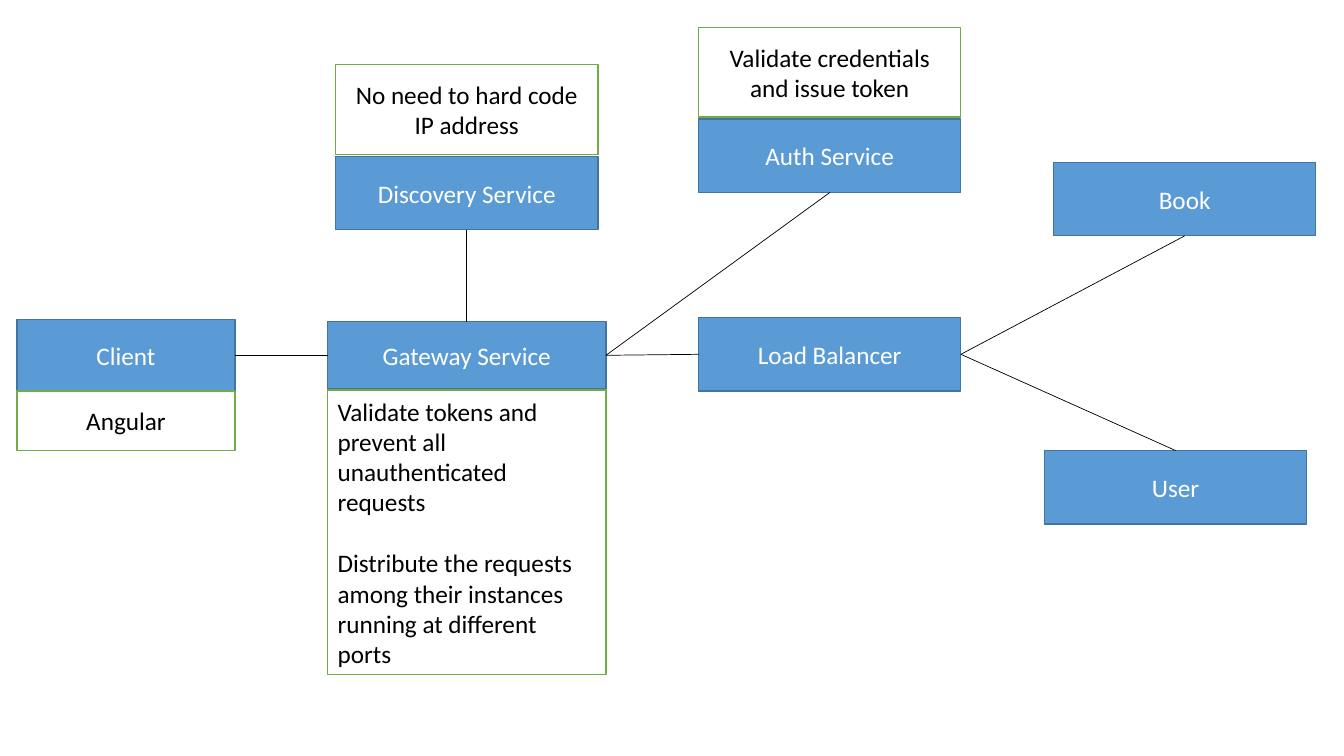
"""Build a service architecture diagram slide."""
from dataclasses import dataclass

import lxml.etree
import pptx
import pptx.dml.color
import pptx.enum.shapes
import pptx.enum.text
import pptx.oxml.ns
import pptx.util
from pptx.util import Inches

COLORS = {
    "service": "5B9BD5",
    "service_line": "43739E",
    "note": "FFFFFF",
    "note_line": "70AD47",
    "service_text": "FFFFFF",
    "note_text": "000000",
    "connector": "000000",
}
FONT_FORMAT = {"name": "Calibri", "size": pptx.util.Pt(18)}
FRAME_FORMAT = {
    "word_wrap": True,
    "vertical_anchor": pptx.enum.text.MSO_ANCHOR.MIDDLE,
    "margin_left": Inches(0.1),
    "margin_right": Inches(0.1),
    "margin_top": Inches(0.05),
    "margin_bottom": Inches(0.05),
}
CENTER = pptx.enum.text.PP_ALIGN.CENTER
LEFT = pptx.enum.text.PP_ALIGN.LEFT
SITES = {"top": 0, "left": 1, "bottom": 2, "right": 3}


@dataclass(frozen=True)
class Box:
    """A labelled rectangle, measured in inches."""
    paragraphs: tuple[str, ...]
    left: float
    top: float
    width: float = 2.6
    height: float = 0.73
    kind: str = "service"
    alignment: pptx.enum.text.PP_ALIGN = CENTER


@dataclass(frozen=True)
class Link:
    """A line between the named sides of two services."""
    start: str
    start_side: str
    end: str
    end_side: str


SERVICES = (
    Box(("Client",), 0.17, 3.17, 2.16, 0.71),
    Box(("Gateway Service",), 3.25, 3.19, 2.76, 0.67),
    Box(("Discovery Service",), 3.33, 1.55),
    Box(("Auth Service",), 6.93, 1.18),
    Box(("Load Balancer",), 6.93, 3.15),
    Box(("User",), 10.36, 4.47),
    Box(("Book",), 10.45, 1.61),
)
LINKS = (
    Link("Client", "right", "Gateway Service", "left"),
    Link("Discovery Service", "bottom", "Gateway Service", "top"),
    Link("Gateway Service", "right", "Auth Service", "bottom"),
    Link("Gateway Service", "right", "Load Balancer", "left"),
    Link("Load Balancer", "right", "Book", "bottom"),
    Link("Load Balancer", "right", "User", "top"),
)
NOTES = (
    Box(("No need to hard code IP address",), 3.33, 0.64, height=0.89, kind="note"),
    Box(
        (
            "Validate tokens and prevent all unauthenticated requests",
            "Distribute the requests among their instances running at different ports",
        ),
        3.25, 3.87, 2.76, 2.82, "note", LEFT,
    ),
    Box(("Validate credentials and issue token",), 6.93, 0.27, height=0.89, kind="note"),
    Box(("Angular",), 0.17, 3.88, 2.16, 0.59, "note"),
)


def color(name: str) -> pptx.dml.color.RGBColor:
    """Return a named color."""
    return pptx.dml.color.RGBColor.from_string(COLORS[name])


def apply_format(target: object, values: dict) -> None:
    """Set every format value on the target."""
    for name, value in values.items():
        setattr(target, name, value)


def draw_box(slide: pptx.slide.Slide, box: Box) -> pptx.shapes.autoshape.Shape:
    """Draw a rectangle with its text."""
    shape = slide.shapes.add_shape(
        pptx.enum.shapes.MSO_SHAPE.RECTANGLE,
        Inches(box.left), Inches(box.top), Inches(box.width), Inches(box.height),
    )
    shape.shadow.inherit = False
    shape.fill.solid()
    shape.fill.fore_color.rgb = color(box.kind)
    shape.line.color.rgb = color(f"{box.kind}_line")
    shape.line.width = pptx.util.Pt(1)
    frame = shape.text_frame
    apply_format(frame, FRAME_FORMAT)
    frame.text = "\n".join(box.paragraphs)
    for index, paragraph in enumerate(frame.paragraphs):
        paragraph.alignment = box.alignment
        if index:
            paragraph.space_before = pptx.util.Pt(22)
        font = paragraph.runs[0].font
        apply_format(font, FONT_FORMAT)
        font.color.rgb = color(f"{box.kind}_text")
    return shape


def draw_link(slide: pptx.slide.Slide, link: Link, shapes: dict) -> None:
    """Connect two services with a thin line."""
    connector = slide.shapes.add_connector(
        pptx.enum.shapes.MSO_CONNECTOR.STRAIGHT, 0, 0, 0, 0
    )
    connector.begin_connect(shapes[link.start], SITES[link.start_side])
    connector.end_connect(shapes[link.end], SITES[link.end_side])
    connector.line.color.rgb = color("connector")
    connector.line.width = pptx.util.Pt(0.5)
    properties = connector._element.spPr
    lxml.etree.SubElement(properties, pptx.oxml.ns.qn("a:effectLst"))


def main() -> None:
    """Draw the diagram and save it."""
    presentation = pptx.Presentation()
    presentation.slide_width = Inches(13.33)
    presentation.slide_height = Inches(7.5)
    slide = presentation.slides.add_slide(presentation.slide_layouts[6])
    shapes = {box.paragraphs[0]: draw_box(slide, box) for box in SERVICES}
    for link in LINKS:
        draw_link(slide, link, shapes)
    for note in NOTES:
        draw_box(slide, note)
    presentation.save("out.pptx")


if __name__ == "__main__":
    main()
